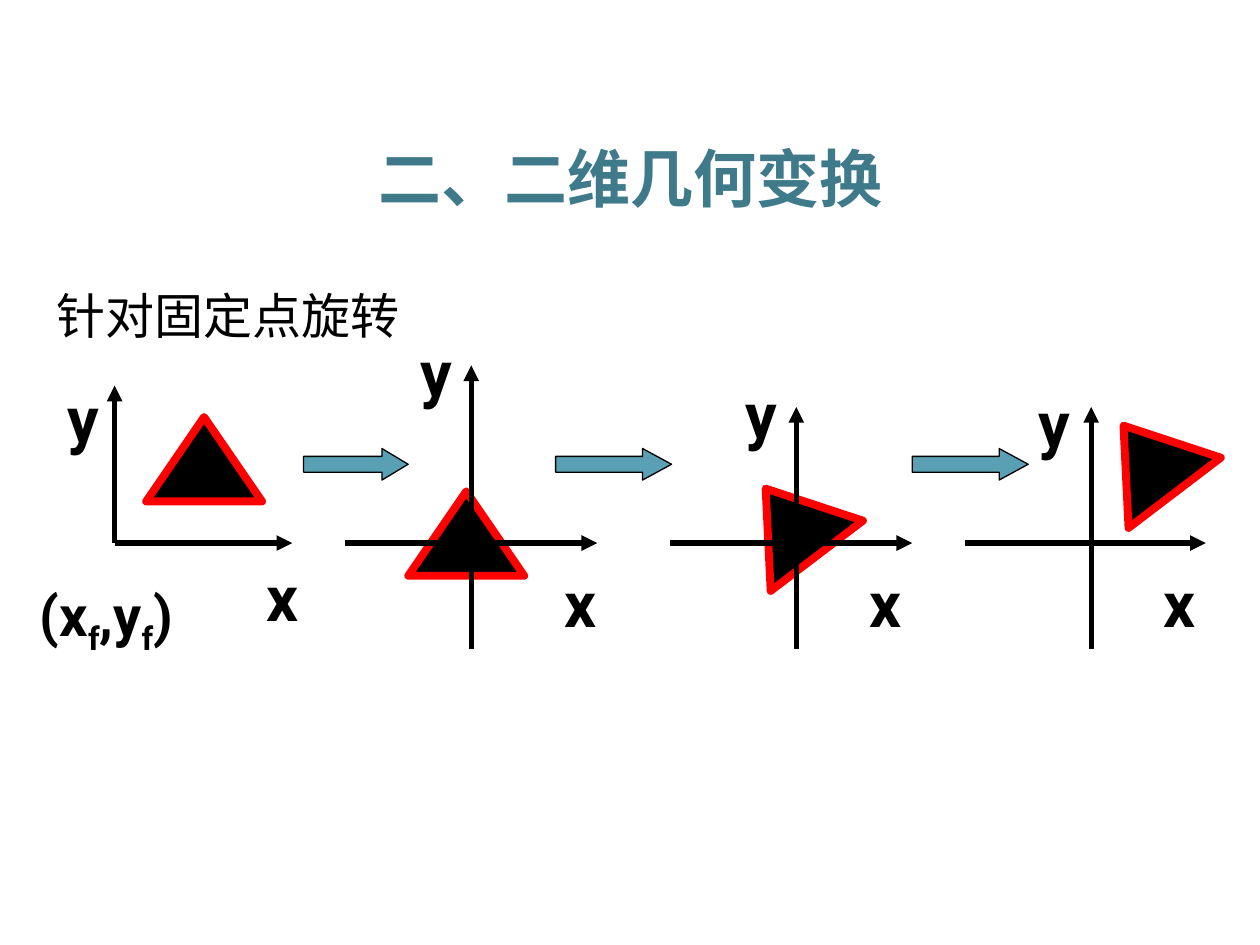
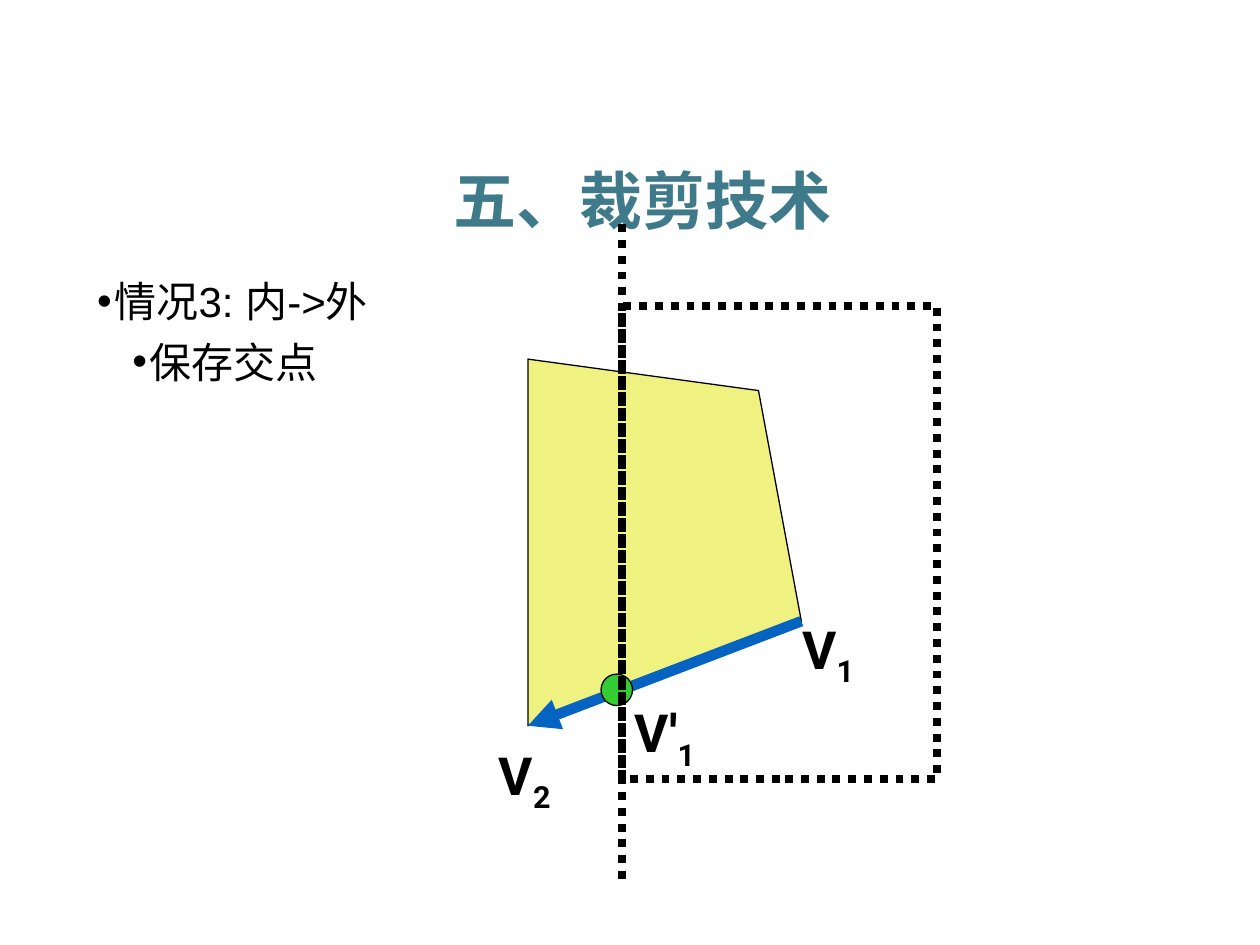
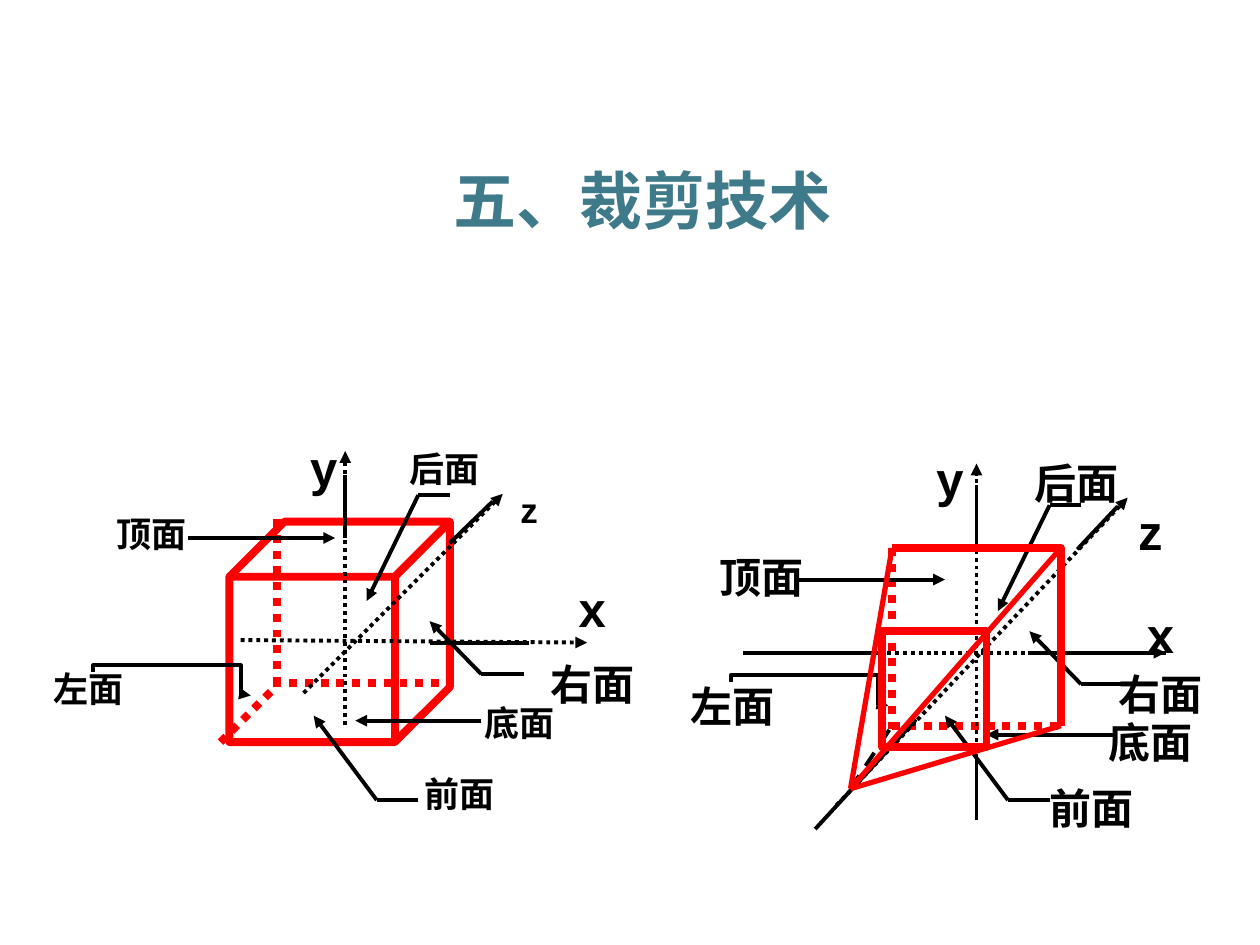
from dataclasses import dataclass
from itertools import pairwise

from lxml import etree
from pptx import Presentation
from pptx.dml.color import RGBColor
from pptx.enum import dml, shapes, text
from pptx.oxml.ns import qn
from pptx.util import Inches, Pt


@dataclass(frozen=True)
class Theme:
    ink: str = "000000"
    heading: str = "3F7A8B"
    step: str = "5AA0B4"
    accent: str = "FF0000"
    polygon: str = "EFF280"
    edge: str = "0563C1"
    crossing: str = "33CC33"
    latin: str = "Arial"
    cjk: str = "Noto Sans CJK SC"
    math: str = "Roboto"
    title_size: float = 36
    subtitle_size: float = 28
    body_size: float = 24
    small_size: float = 20
    axis_size: float = 28
    origin_size: float = 32
    vertex_size: float = 30
    hairline: float = 0.75
    thin: float = 2.25
    medium: float = 3
    thick: float = 4.5
    heavy: float = 6


THEME = Theme()
DOTS = dml.MSO_LINE.ROUND_DOT
DASHES = dml.MSO_LINE.DASH
SHAPE = shapes.MSO_SHAPE
CENTER, LEFT = text.PP_ALIGN.CENTER, text.PP_ALIGN.LEFT
TITLE_ONLY, TITLE_AND_CONTENT = 5, 1
TRIANGLE_TURN = 322.7

# Leader lines by cube face, measured from the anchor; the last point is the tip.
LEADERS = {
    "顶面": [(0, 0), (1.17, 0)],
    "左面": [(0, 0), (0, -0.05), (1.17, -0.05), (1.17, 0.19), (1.25, 0.19)],
    "后面": [(0.25, 0), (0, 0), (-0.41, 0.84)],
    "前面": [(0.33, 0), (0, 0), (-0.5, -0.67)],
    "底面": [(0, 0), (-1, 0)],
    "右面": [(0.34, 0), (0, 0), (-0.41, -0.42)],
}


def inches(values):
    return [Inches(value) for value in values]


def style_font(para, size, name, color=THEME.ink, bold=False):
    font = para.font
    font.size, font.bold, font.name = Pt(size), bold, name
    font.color.rgb = RGBColor.from_string(color)
    defaults = para._p.pPr.find(qn("a:defRPr"))
    etree.SubElement(defaults, qn("a:ea")).set("typeface", name)


def style_line(line, color, width, dash=None, arrow=False):
    line.color.rgb = RGBColor.from_string(color)
    line.width = Pt(width)
    if dash:
        line.dash_style = dash
    if arrow:
        etree.SubElement(line._get_or_add_ln(), qn("a:tailEnd")).set("type", "triangle")


def style_shape(shape, fill, color, width, **line_options):
    shape.shadow.inherit = False
    if fill:
        shape.fill.solid()
        shape.fill.fore_color.rgb = RGBColor.from_string(fill)
    else:
        shape.fill.background()
    style_line(shape.line, color, width, **line_options)


def add_title(page, title, place):
    box = page.shapes.title
    box.left, box.top, box.width, box.height = inches(place)
    frame = box.text_frame
    frame.vertical_anchor = text.MSO_ANCHOR.MIDDLE
    frame.auto_size = text.MSO_AUTO_SIZE.NONE
    frame.text = title
    frame.paragraphs[0].alignment = CENTER
    style_font(frame.paragraphs[0], THEME.title_size, THEME.cjk, THEME.heading, True)


def add_bullets(page, place, items):
    box = page.placeholders[1]
    box.left, box.top, box.width, box.height = inches(place)
    frame = box.text_frame
    frame.auto_size = text.MSO_AUTO_SIZE.NONE
    for level, item in enumerate(items):
        para = frame.add_paragraph() if level else frame.paragraphs[0]
        para.text, para.level = item, level
        para.line_spacing = 1.1
        para.space_before = Pt(2.8 if level else 0)
        props = para._p.get_or_add_pPr()
        props.set("marL", str(Inches(0.14 + 0.28 * level)))
        props.set("indent", str(-Inches(0.14)))
        etree.SubElement(props, qn("a:buChar")).set("char", "•")
        style_font(para, THEME.body_size, THEME.latin)


def add_label(page, pieces, place, size, name=THEME.latin, align=CENTER, bold=True, tight=False):
    """Every second piece is a subscript; a tight label has no insets or wrapping."""
    frame = page.shapes.add_textbox(*inches(place)).text_frame
    frame.word_wrap = not tight
    if tight:
        frame.vertical_anchor = text.MSO_ANCHOR.MIDDLE
        frame.margin_left = frame.margin_right = frame.margin_top = frame.margin_bottom = 0
    para = frame.paragraphs[0]
    para.alignment = align
    for index, piece in enumerate(pieces):
        span = para.add_run()
        span.text = piece
        if index % 2:
            span._r.get_or_add_rPr().set("baseline", "-25000")
    style_font(para, size, name, bold=bold)
    return para


def add_line(page, start, end, width=THEME.thin, color=THEME.ink, **line_options):
    line = page.shapes.add_connector(shapes.MSO_CONNECTOR.STRAIGHT, *inches((*start, *end)))
    style_line(line.line, color, width, **line_options)
    etree.SubElement(line._element.spPr, qn("a:effectLst"))


def add_shape(page, kind, place, fill, color, width, **line_options):
    shape = page.shapes.add_shape(kind, *inches(place))
    style_shape(shape, fill, color, width, **line_options)
    return shape


def add_outline(page, points, color, width, fill=None, close=False, **line_options):
    first, *others = [inches(point) for point in points]
    builder = page.shapes.build_freeform(*first)
    builder.add_line_segments(others, close=close)
    style_shape(builder.convert_to_shape(), fill, color, width, **line_options)


def add_leader(page, face, anchor):
    points = [(anchor[0] + dx, anchor[1] + dy) for dx, dy in LEADERS[face]]
    if len(points) > 3:
        add_outline(page, points, THEME.ink, THEME.thin, arrow=True)
        return
    for start, end in pairwise(points):
        add_line(page, start, end, arrow=end == points[-1])


def add_faces(page, faces):
    for face, anchor, corner, size, name in faces:
        add_leader(page, face, anchor)
        height = 0.5 if size == THEME.body_size else 0.43
        add_label(page, [face], (*corner, 0.92, height), size, name)


def add_page(deck, layout, title, place=(0.43, 1.23, 9.34, 0.71)):
    page = deck.slides.add_slide(deck.slide_layouts[layout])
    add_title(page, title, place)
    return page


def build_rotation(deck):
    page = add_page(deck, TITLE_ONLY, "二、二维几何变换", (0.33, 0.99, 9.34, 0.83))
    subtitle = add_label(page, ["针对固定点旋转"], (0.35, 2.12, 7.85, 0.7),
                         THEME.subtitle_size, align=LEFT, bold=False)
    subtitle.line_spacing = 1.2

    axis_y = 4.31
    # triangle corner, turn, x axis from and to, y axis position, bottom and top, x and y label corners
    panels = [
        ((1.16, 3.31), 0, 0.91, 2.32, 0.91, axis_y, 3.06, (2.09, 4.43), (0.51, 3.01)),
        ((3.24, 3.9), 0, 2.74, 4.74, 3.74, 5.15, 2.9, (4.46, 4.48), (3.31, 2.65)),
        ((5.82, 3.81), TRIANGLE_TURN, 5.32, 7.24, 6.32, 5.15, 3.23, (6.88, 4.48), (5.89, 2.98)),
        ((8.66, 3.31), TRIANGLE_TURN, 7.66, 9.57, 8.66, 5.15, 3.23, (9.21, 4.48), (8.22, 3.05)),
    ]
    for corner, turn, left, right, axis_x, bottom, top, x_corner, y_corner in panels:
        triangle = add_shape(page, SHAPE.ISOSCELES_TRIANGLE, (*corner, 0.92, 0.67),
                             THEME.ink, THEME.accent, THEME.thick)
        triangle.rotation = turn
        add_line(page, (left, axis_y), (right, axis_y), THEME.medium, arrow=True)
        add_line(page, (axis_x, bottom), (axis_x, top), THEME.medium, arrow=True)
        for name, place in (("x", x_corner), ("y", y_corner)):
            add_label(page, [name], (*place, 0.3, 0.6), THEME.title_size, THEME.math, tight=True)
    add_label(page, ["(x", "f", ",y", "f", ")"], (0.2, 4.65, 1.29, 0.53),
              THEME.origin_size, THEME.math, tight=True)

    for left, width in ((2.41, 0.83), (4.41, 0.92), (7.24, 0.92)):
        step = add_shape(page, SHAPE.RIGHT_ARROW, (left, 3.56, width, 0.25),
                         THEME.step, THEME.ink, THEME.hairline)
        step.adjustments[1] = width


def build_clipping_case(deck):
    page = add_page(deck, TITLE_AND_CONTENT, "五、裁剪技术")
    add_bullets(page, (0.67, 2.1, 4.17, 1.03), ["情况3: 内->外", "保存交点"])
    v1, v2 = (6.36, 4.93), (4.19, 5.76)
    add_outline(page, [(4.19, 2.85), v2, v1, (6.02, 3.1)], THEME.ink, THEME.hairline,
                fill=THEME.polygon, close=True)
    add_line(page, v1, v2, THEME.heavy, THEME.edge, arrow=True)
    add_shape(page, SHAPE.OVAL, (4.77, 5.35, 0.25, 0.25),
              THEME.crossing, THEME.ink, THEME.hairline)
    for pieces, place in (
        (["V", "1"], (6.27, 4.85, 0.66, 0.6)),
        (["V", "2"], (3.86, 5.85, 0.66, 0.6)),
        (["V'", "1"], (4.94, 5.51, 0.92, 0.6)),
    ):
        add_label(page, pieces, place, THEME.vertex_size, THEME.math, LEFT)
    clip_x = 4.94
    add_shape(page, SHAPE.RECTANGLE, (clip_x, 2.43, 2.5, 3.75),
              None, THEME.ink, THEME.thick, dash=DOTS)
    add_line(page, (clip_x, 1.78), (clip_x, 7.03), THEME.thick, dash=DOTS)


def add_axes(page, dotted, solid, labels):
    for start, end in dotted:
        add_line(page, start, end, dash=DOTS, arrow=True)
    for start, end in solid:
        add_line(page, start, end)
    for name, place, size in labels:
        add_label(page, [name], place, size)


def add_parallel_volume(page):
    for start, end in (
        ((2.2, 4.12), (2.2, 5.42)),
        ((1.75, 5.89), (2.17, 5.47)),
        ((2.17, 5.42), (3.5, 5.42)),
    ):
        add_line(page, start, end, THEME.thick, THEME.accent, dash=DOTS)
    cube = add_shape(page, SHAPE.CUBE, (1.82, 4.14, 1.75, 1.75), None, THEME.accent, THEME.thick)
    cube.adjustments[0] = 0.25
    add_axes(
        page,
        [((1.91, 5.08), (4.66, 5.1)), ((2.74, 5.75), (2.74, 3.58)), ((2.41, 5.5), (3.99, 3.92))],
        [((2.74, 4.27), (2.74, 3.77)), ((3.57, 4.31), (3.91, 3.98)), ((3.41, 5.1), (4.2, 5.1))],
        [("x", (4.24, 4.54, 0.92, 0.57), THEME.axis_size),
         ("y", (2.32, 3.42, 0.5, 0.57), THEME.axis_size),
         ("z", (3.74, 3.83, 0.92, 0.43), THEME.small_size)],
    )
    small = (THEME.small_size, THEME.cjk)
    add_faces(page, [
        ("顶面", (1.49, 4.27), (0.74, 4.02), *small),
        ("左面", (0.74, 5.33), (0.24, 5.25), *small),
        ("后面", (3.32, 3.93), (3.07, 3.5), *small),
        ("前面", (2.99, 6.35), (3.19, 6.08), *small),
        ("底面", (3.82, 5.72), (3.66, 5.52), *small),
        ("右面", (3.82, 5.35), (4.24, 5.18), THEME.body_size, THEME.latin),
    ])


def add_perspective_volume(page):
    eye = (6.75, 6.26)
    top_left, top_right = (7.08, 4.35), (8.42, 4.35)
    bottom_left, bottom_right = (7.08, 5.76), (8.42, 5.76)
    add_line(page, top_left, (7.08, 5.85), THEME.thick, THEME.accent, dash=DOTS)
    add_line(page, bottom_left, bottom_right, THEME.thick, THEME.accent, dash=DOTS)
    add_line(page, eye, bottom_left, dash=DASHES)
    add_axes(
        page,
        [((6.67, 5.18), (9.25, 5.18)), ((7.75, 6.51), (7.75, 3.68)), ((6.64, 6.39), (8.95, 3.95))],
        [((7.75, 4.35), (7.75, 3.85)), ((8.17, 5.18), (9.25, 5.18)), ((7.75, 6.51), (7.75, 6.01)),
         ((8.55, 4.36), (8.87, 4.02)), ((6.47, 6.58), (7.27, 5.71)), ((5.9, 5.18), (6.98, 5.18))],
        [("x", (8.75, 4.75, 0.92, 0.57), THEME.axis_size),
         ("y", (7.08, 3.51, 0.92, 0.57), THEME.axis_size),
         ("z", (8.67, 3.93, 0.92, 0.57), THEME.axis_size)],
    )
    large = (THEME.body_size, THEME.latin)
    add_faces(page, [
        ("顶面", (6.33, 4.6), (5.58, 4.33), *large),
        ("左面", (5.8, 5.41), (5.35, 5.35), *large),
        ("后面", (8.33, 4.01), (8.08, 3.58), *large),
        ("前面", (8, 6.35), (8.2, 6.16), *large),
        ("底面", (8.83, 5.83), (8.67, 5.64), *large),
        ("右面", (8.58, 5.43), (8.75, 5.26), *large),
    ])
    add_outline(page, [top_left, top_right, bottom_right], THEME.accent, THEME.thick)
    for corner in (top_left, top_right, bottom_right):
        add_line(page, corner, eye, THEME.medium, THEME.accent)
    add_shape(page, SHAPE.RECTANGLE, (7, 5.01, 0.83, 0.92), None, THEME.accent, THEME.thick)


def build_view_volumes(deck):
    page = add_page(deck, TITLE_ONLY, "五、裁剪技术")
    add_parallel_volume(page)
    add_perspective_volume(page)


def main():
    deck = Presentation()
    deck.slide_width, deck.slide_height = Inches(10), Inches(7.5)
    build_rotation(deck)
    build_clipping_case(deck)
    build_view_volumes(deck)
    deck.save("out.pptx")


if __name__ == "__main__":
    main()
